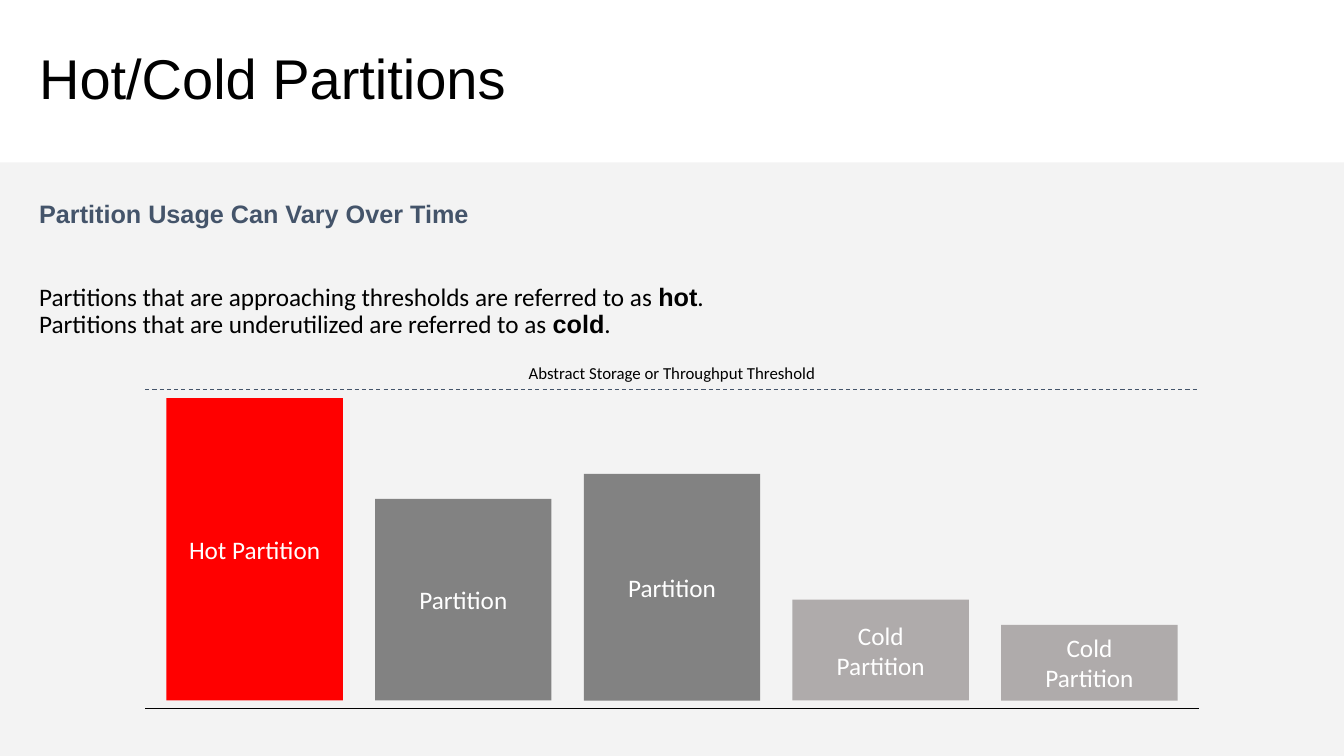
from lxml import etree
from pptx import Presentation
from pptx.dml.color import RGBColor
from pptx.enum.dml import MSO_LINE
from pptx.enum.shapes import MSO_CONNECTOR, MSO_SHAPE
from pptx.enum.text import MSO_ANCHOR, PP_ALIGN
from pptx.oxml.ns import qn
from pptx.util import Pt

PX = 9144  # EMU; 100 px to the inch
RECTANGLE = MSO_SHAPE.RECTANGLE
STRAIGHT = MSO_CONNECTOR.STRAIGHT
DASH = MSO_LINE.DASH
TOP, MIDDLE = MSO_ANCHOR.TOP, MSO_ANCHOR.MIDDLE
CENTER = PP_ALIGN.CENTER

COLORS = {
    "panel": "F2F2F2", "ink": "000000", "slate": "44546A", "label": "FFFFFF",
    "hot": "FF0000", "normal": "828282", "cold": "AFABAB",
}


def color(name):
    return RGBColor.from_string(COLORS[name])


def set_font(paragraph, size, face, color_name, bold=False):
    font = paragraph.font
    font.size, font.name, font.bold = Pt(size), face, bold
    font.color.rgb = color(color_name)


prs = Presentation()
prs.slide_width, prs.slide_height = 1333 * PX, 750 * PX
slide = prs.slides.add_slide(prs.slide_layouts[6])
shapes = slide.shapes

# Panel behind the content
panel = shapes.add_shape(RECTANGLE, 0, 161 * PX, 1333 * PX, 589 * PX)
panel.shadow.inherit = False
panel.fill.solid()
panel.fill.fore_color.rgb = color("panel")
panel.line.fill.background()
panel_color = panel.fill._xPr.find(".//" + qn("a:srgbClr"))
etree.SubElement(panel_color, qn("a:alpha"), val="89000")

# Title, explanation and threshold label
frames = []
for left, top, width, height, anchor in (
    (29, 32, 1275, 98, MIDDLE),
    (29, 195, 769, 150, TOP),
    (459, 362, 415, 18, MIDDLE),
):
    frame = shapes.add_textbox(left * PX, top * PX, width * PX, height * PX).text_frame
    frame.word_wrap = True
    frame.vertical_anchor = anchor
    frame.paragraphs[0].line_spacing = 0.9
    frames.append(frame)
title_frame, body_frame, threshold_frame = frames

title = title_frame.paragraphs[0]
title.text = "Hot/Cold Partitions"
set_font(title, 40, "Arial", "ink")

heading = body_frame.paragraphs[0]
heading.text = "Partition Usage Can Vary Over Time"
set_font(heading, 18, "Arial", "slate", bold=True)

definitions = body_frame.add_paragraph()
definitions.line_spacing = 0.9
definitions.space_before = Pt(40)
set_font(definitions, 18, "Calibri", "ink")
for text, is_term in (
    ("Partitions that are approaching thresholds are referred to as ", False),
    ("hot", True),
    (". Partitions that are underutilized are referred to as ", False),
    ("cold", True),
    (".", False),
):
    run = definitions.add_run()
    run.text = text
    if is_term:
        run.font.name, run.font.bold = "Arial", True

threshold_frame.margin_left = threshold_frame.margin_right = 0
threshold_frame.margin_top = threshold_frame.margin_bottom = 0
threshold = threshold_frame.paragraphs[0]
threshold.text = "Abstract Storage or Throughput Threshold"
threshold.alignment = CENTER
threshold.space_after = Pt(6)
set_font(threshold, 12, "Calibri", "ink")

# Baseline and threshold
for y, color_name, weight, dash in (
    (703, "ink", 0.5, None),
    (386, "slate", 0.75, DASH),
):
    rule = shapes.add_connector(STRAIGHT, 144 * PX, y * PX, 1189 * PX, y * PX)
    rule.line.color.rgb = color(color_name)
    rule.line.width = Pt(weight)
    rule.line.dash_style = dash
    etree.SubElement(rule.line._get_or_add_ln().getparent(), qn("a:effectLst"))

# Partitions stand on a common bottom edge at equal steps
BAR_LEFT, BAR_STEP, BAR_WIDTH, BAR_BOTTOM = 165, 207, 175, 695
partitions = (
    ("Hot Partition", 300, "hot"),
    ("Partition", 200, "normal"),
    ("Partition", 225, "normal"),
    ("Cold Partition", 100, "cold"),
    ("Cold Partition", 75, "cold"),
)
for index, (name, height, usage) in enumerate(partitions):
    left = BAR_LEFT + index * BAR_STEP
    bar = shapes.add_shape(RECTANGLE, left * PX, (BAR_BOTTOM - height) * PX,
                           BAR_WIDTH * PX, height * PX)
    bar.shadow.inherit = False
    bar.fill.solid()
    bar.fill.fore_color.rgb = color(usage)
    bar.line.fill.background()
    frame = bar.text_frame
    frame.word_wrap = True
    frame.vertical_anchor = MIDDLE
    frame.margin_left = frame.margin_right = 20 * PX
    frame.margin_top = frame.margin_bottom = 16 * PX
    label = frame.paragraphs[0]
    label.text = name
    label.alignment = CENTER
    label.space_before = label.space_after = Pt(6)
    set_font(label, 18, "Calibri", "label")

prs.save("out.pptx")
